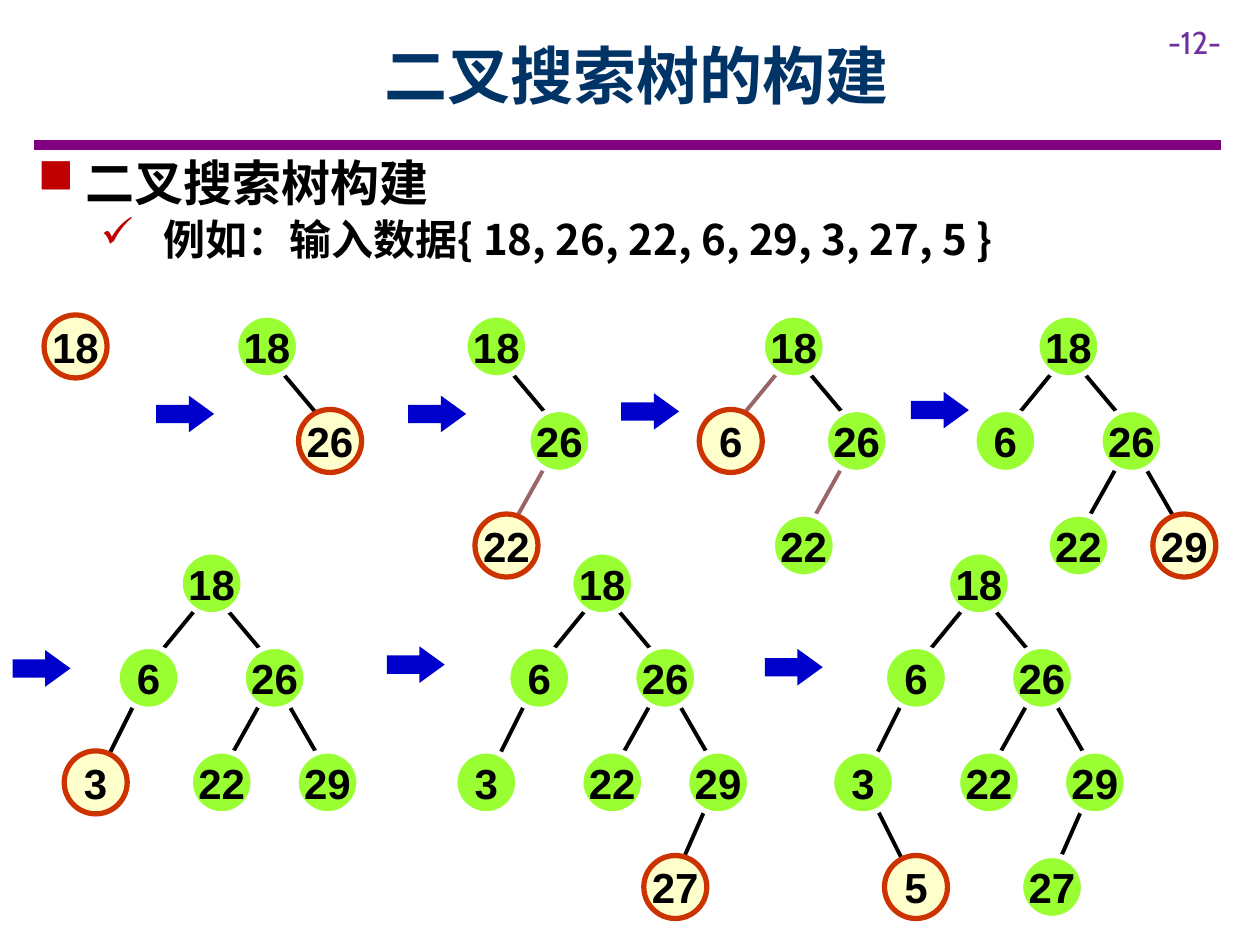
from lxml.etree import SubElement
from pptx import Presentation
from pptx.dml.color import RGBColor as RGB
from pptx.enum.shapes import MSO_CONNECTOR as Link, MSO_SHAPE as Shape
from pptx.enum.text import MSO_ANCHOR as Anchor, PP_ALIGN as Align
from pptx.oxml.ns import qn
from pptx.util import Inches, Pt

HUES = {
    "rule": "800080", "page": "7030A0", "title": "003366", "mark": "C00000",
    "ink": "000000", "white": "FFFFFF", "green": "99FF33", "cream": "FFFFCC",
    "ring": "CC3300", "arrow": "0000CC", "faint": "996666",
}
CJK = "Noto Sans CJK SC"
SIZE = 0.5
KEYS = [18, 26, 22, 6, 29, 3, 27, 5]
NODES = {
    18: (0, 0), 26: (0.5, 0.75), 22: (0.08, 1.58), 6: (-0.5, 0.75),
    29: (0.92, 1.58), 3: (-0.92, 1.58), 27: (0.58, 2.41), 5: (-0.5, 2.41),
}
EDGES = {
    26: (0.33, 0.41, 0.75, 0.91), 22: (0.66, 1.16, 0.33, 1.75),
    6: (0.16, 0.41, -0.25, 0.91), 29: (0.83, 1.16, 1.17, 1.75),
    3: (-0.34, 1.16, -0.59, 1.66), 27: (1.16, 1.83, 0.83, 2.58),
    5: (-0.58, 2, -0.33, 2.5),
}
TOP, LOW = 2.5, 4.38
STEPS = [
    (0.35, TOP, None, ()),
    (1.87, TOP, (-0.63, 0.64), ()),
    (3.69, TOP, (-0.45, 0.64), (22,)),
    (6.05, TOP, (-1.12, 0.62), (6, 22)),
    (8.23, TOP, (-1, 0.61), ()),
    (1.43, LOW, (-1.33, 0.78), ()),
    (4.53, LOW, (-1.46, 0.75), ()),
    (7.52, LOW, (-1.45, 0.77), ()),
]


def hue(name):
    return RGB.from_string(HUES[name])


def style(item, form):
    for name, value in form.items():
        setattr(item, name, value)


def write(para, text, size, face, tint, bold=True):
    run = para.add_run()
    run.text = text
    style(run.font, {"size": Pt(size), "name": face, "bold": bold})
    run.font.color.rgb = hue(tint)
    if face == CJK:
        SubElement(run.font._element, qn("a:ea"), typeface=face)


def draw_line(slide, ends, tint, width):
    line = slide.shapes.add_connector(Link.STRAIGHT, *map(Inches, ends))
    line.line.color.rgb = hue(tint)
    line.line.width = Pt(width)
    SubElement(line._element.spPr, qn("a:effectLst"))


def add_shape(slide, kind, box, fill):
    shape = slide.shapes.add_shape(kind, *map(Inches, box))
    shape.shadow.inherit = False
    shape.fill.solid()
    shape.fill.fore_color.rgb = hue(fill)
    return shape


def add_box(slide, box):
    frame = slide.shapes.add_textbox(*map(Inches, box)).text_frame
    frame.word_wrap = True
    return frame


def add_head(slide, box):
    left, top, width, height = box
    draw_line(slide, (left + 0.27, top + 1.15, left + 9.69, top + 1.15), "rule", 6)
    page = add_box(slide, (left + 9.17, top + 0.13, 0.83, 0.4))
    write(page.paragraphs[0], "-12-", 18, "Cabin", "page", False)
    title = slide.shapes.title
    spot = (left + 0.9, top + 0.09, width - 1.69, height)
    style(title, dict(zip(("left", "top", "width", "height"), map(Inches, spot))))
    title.text_frame.vertical_anchor = Anchor.MIDDLE
    para = title.text_frame.paragraphs[0]
    para.alignment = Align.CENTER
    write(para, "二叉搜索树的构建", 36, CJK, "title")


def add_list(slide, box):
    frame = add_box(slide, box)
    rows = [
        ("二叉搜索树构建", 28, "■", 0.38, 0.38),
        ("例如：输入数据{ 18, 26, 22, 6, 29, 3, 27, 5 }", 24, "✓", 1, 0.5),
    ]
    for i, (text, size, mark, left, hang) in enumerate(rows):
        para = frame.add_paragraph() if i else frame.paragraphs[0]
        style(para, {"level": i, "space_after": Pt(6), "line_spacing": 0.85})
        props = para._p.get_or_add_pPr()
        props.set("marL", str(Inches(left)))
        props.set("indent", str(-Inches(hang)))
        SubElement(SubElement(props, qn("a:buClr")), qn("a:srgbClr"), val=HUES["mark"])
        SubElement(props, qn("a:buChar"), char=mark)
        write(para, text, size, CJK, "ink")


def add_node(slide, box, key, fresh):
    node = add_shape(slide, Shape.OVAL, box, "cream" if fresh else "green")
    node.line.color.rgb = hue("ring" if fresh else "white")
    node.line.width = Pt(3)
    frame = node.text_frame
    style(frame, {
        "margin_left": 0, "margin_right": 0, "margin_top": 0, "margin_bottom": 0,
        "word_wrap": False, "vertical_anchor": Anchor.MIDDLE,
    })
    frame.paragraphs[0].alignment = Align.CENTER
    write(frame.paragraphs[0], str(key), 24, "Arial", "ink")


def add_tree(slide, left, top, keys, arrow, faint):
    for key in keys[1:]:
        x, y, end, low = EDGES[key]
        ends = (left + x, top + y, left + end, top + low)
        draw_line(slide, ends, "faint" if key in faint else "ink", 2.25)
    for key in keys:
        x, y = NODES[key]
        add_node(slide, (left + x, top + y, SIZE, SIZE), key, key == keys[-1])
    if arrow:
        box = (left + arrow[0], top + arrow[1], 0.46, 0.29)
        shape = add_shape(slide, Shape.RIGHT_ARROW, box, "arrow")
        shape.adjustments[1] = 0.69
        shape.line.fill.background()


def main():
    deck = Presentation()
    style(deck, {"slide_width": Inches(10), "slide_height": Inches(7.5)})
    slide = deck.slides.add_slide(deck.slide_layouts[5])
    add_head(slide, (0, 0, 10, 1))
    add_list(slide, (0.2, 1.23, 9.61, 1.06))
    for count, (left, top, arrow, faint) in enumerate(STEPS, 1):
        add_tree(slide, left, top, KEYS[:count], arrow, faint)
    deck.save("out.pptx")


if __name__ == "__main__":
    main()
